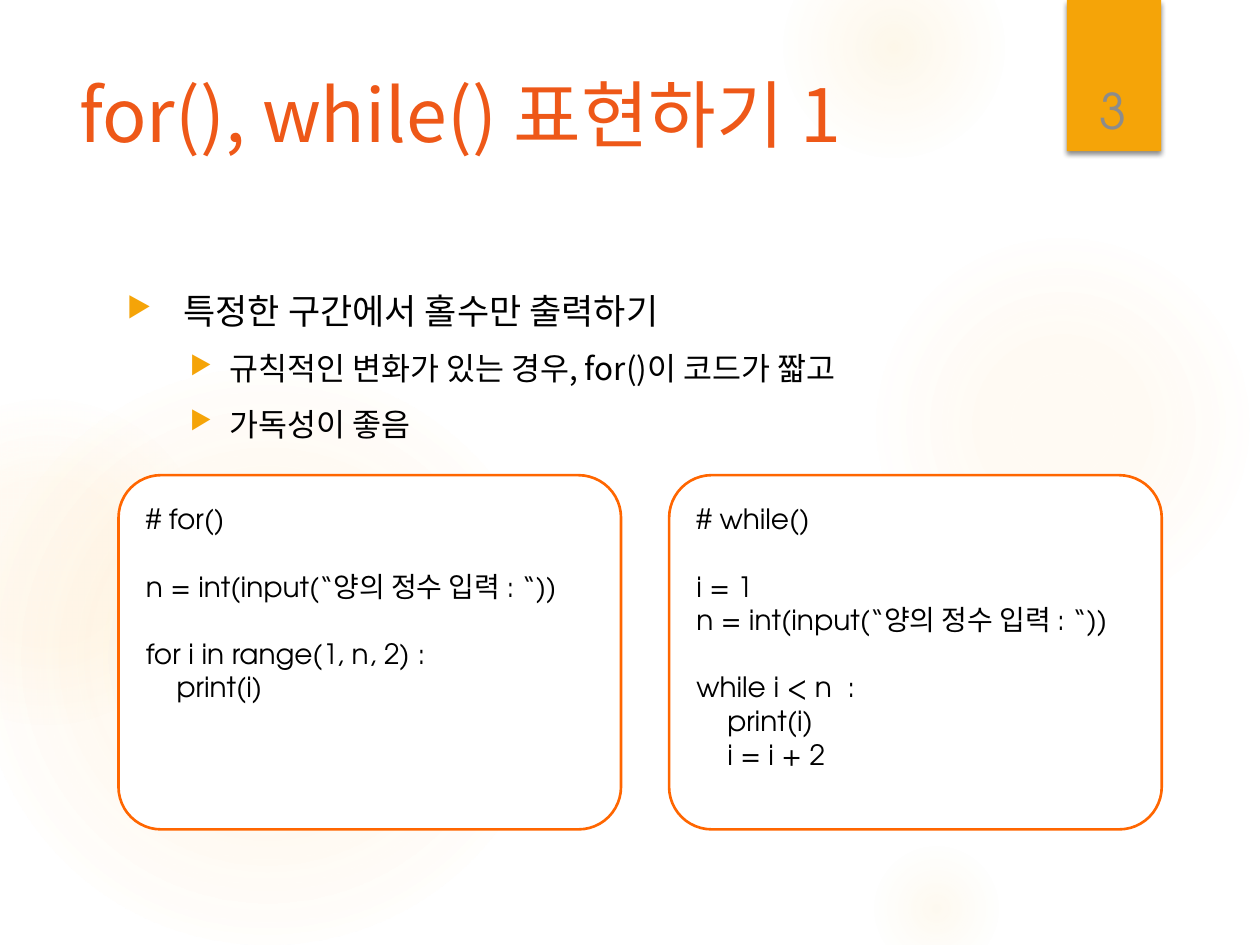
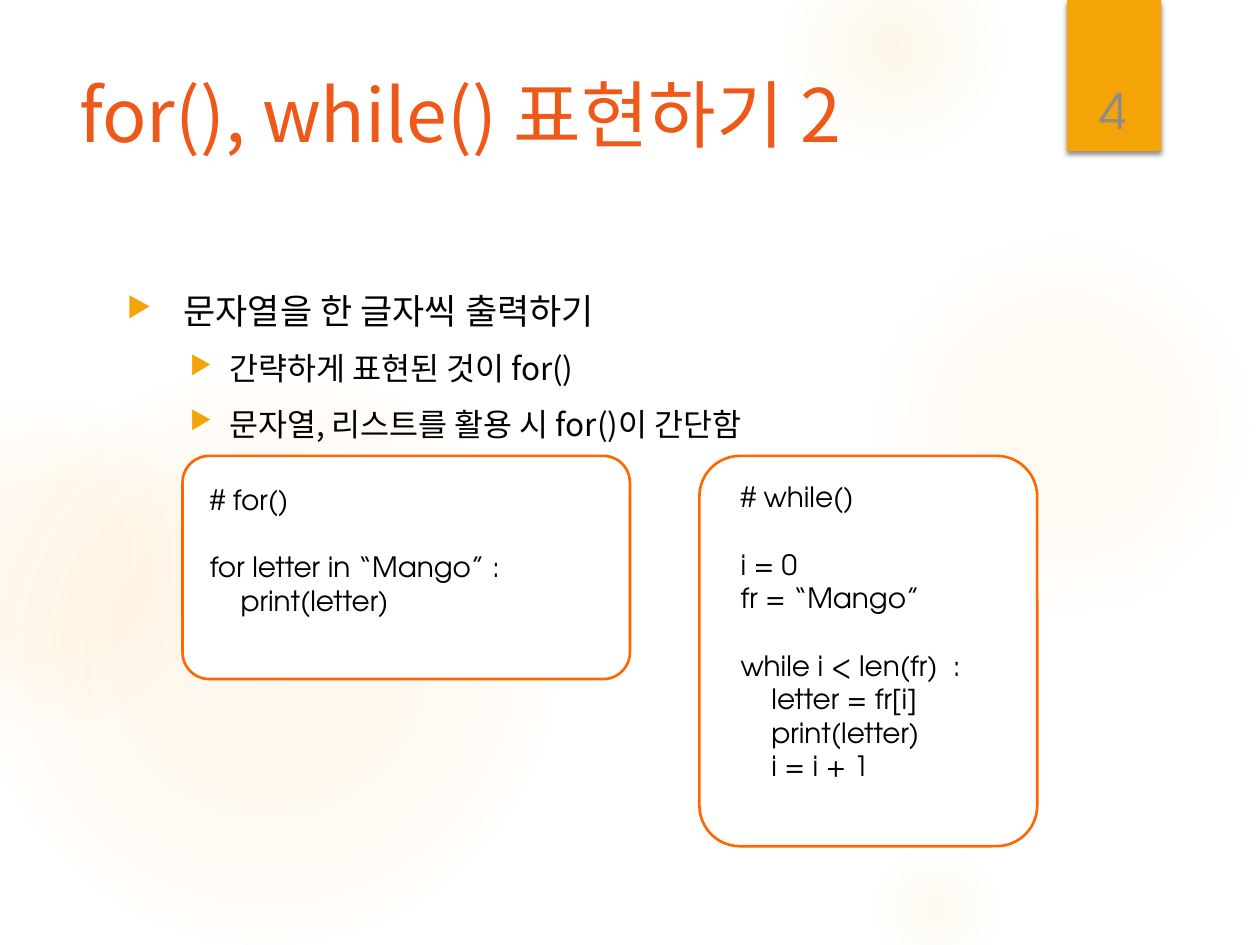
from lxml.etree import SubElement as Sub
from pptx import Presentation
from pptx.dml.color import RGBColor as RGB
from pptx.enum.shapes import MSO_SHAPE as Kind
from pptx.enum.text import MSO_ANCHOR as Anchor, PP_ALIGN as Align
from pptx.oxml.ns import qn
from pptx.util import Cm, Pt

SANS = "Noto Sans CJK KR"
CODE = "TeX Gyre Adventor"
GOLD, GLOW, TITLE, EDGE = "F5A408", "FAC96A", "EE5818", "FF6600"
BLACK, WHITE, GREY = "000000", "FFFFFF", "8C8C8C"

# left, top, diameter in cm, then (stop %, opacity %) pairs
GLOWS = [
    (17.5, 4.65, 7.82, [(0, 7), (36, 6), (69, 0)]),
    (15.8, -1.27, 4.45, [(0, 14), (36, 7), (73, 0)]),
    (17.5, 16.94, 2.74, [(0, 10), (31, 5), (66, 0)]),
    (-0.43, 7.42, 11.63, [(0, 11), (36, 10), (75, 0)]),
    (-2.34, 8.05, 6.55, [(0, 8), (36, 8), (72, 0)]),
]
# left margin in cm, hanging indent in cm, text size
LEVELS = [(1.14, -1.14, 20), (2.06, -0.79, 18)]
LINE = 0.68  # height of a code line in cm


def paint(hue):
    return RGB.from_string(hue)


def tint(node, hue, alpha):
    """Add a colour with an opacity in percent to an XML node."""
    clr = Sub(node, qn("a:srgbClr"), val=hue)
    Sub(clr, qn("a:alpha"), val=str(alpha * 1000))


class Deck:
    def __init__(self):
        self.prs = Presentation()
        self.prs.slide_width, self.prs.slide_height = Cm(25.4), Cm(19.05)
        self.slide = None

    def page(self, num, title):
        """Start a slide with its glows, ribbon, number and title."""
        self.slide = self.prs.slides.add_slide(self.prs.slide_layouts[6])
        for left, top, size, stops in GLOWS:
            self.glow(left, top, size, stops)
        self.ribbon()
        head = self.text(1.35, 1.27, 19.61, 3.89)
        self.label(head.paragraphs[0], title, 42, TITLE)
        frame = self.text(21.56, 0.81, 1.75, 2.13)
        frame.vertical_anchor = Anchor.BOTTOM
        para = frame.paragraphs[0]
        para.alignment = Align.CENTER
        self.label(para, str(num), 28, GREY, CODE)

    def shape(self, kind, left, top, wide, high):
        item = self.slide.shapes.add_shape(
            kind, Cm(left), Cm(top), Cm(wide), Cm(high))
        item.shadow.inherit = False
        item.line.fill.background()
        return item

    def glow(self, left, top, size, stops):
        item = self.shape(Kind.OVAL, left, top, size, size)
        item.fill.gradient()
        grad = item._element.spPr.find(qn("a:gradFill"))
        for node in list(grad):
            grad.remove(node)
        row = Sub(grad, qn("a:gsLst"))
        for pos, alpha in stops:
            tint(Sub(row, qn("a:gs"), pos=str(pos * 1000)), GLOW, alpha)
        ring = Sub(grad, qn("a:path"), {"path": "circle"})
        Sub(ring, qn("a:fillToRect"), dict.fromkeys("ltrb", "50000"))

    def ribbon(self):
        item = self.shape(Kind.RECTANGLE, 21.51, 0, 1.9, 3.05)
        item.fill.solid()
        item.fill.fore_color.rgb = paint(GOLD)
        effect = item._element.spPr.find(qn("a:effectLst"))
        shade = Sub(effect, qn("a:outerShdw"), blurRad=str(Pt(3)),
                    dist=str(Pt(2)), dir="5400000", rotWithShape="0")
        tint(shade, BLACK, 45)

    def text(self, left, top, wide, high):
        box = self.slide.shapes.add_textbox(Cm(left), Cm(top), Cm(wide), Cm(high))
        box.text_frame.word_wrap = True
        return box.text_frame

    def label(self, para, words, size, hue, face=SANS):
        """Set a paragraph's words and its font."""
        para.text = words
        font = para.font
        font.name, font.size = face, Pt(size)
        font.color.rgb = paint(hue)
        Sub(para._p.pPr.find(qn("a:defRPr")), qn("a:ea"), typeface=SANS)

    def points(self, first, *rest):
        """Add one main bullet and the bullets below it."""
        frame = self.text(2.31, 5.72, 18.64, 11.66)
        for i, words in enumerate((first, *rest)):
            para = frame.add_paragraph() if i else frame.paragraphs[0]
            para.level = min(i, 1)
            if i:
                para.space_before = Pt(10)
            left, hang, size = LEVELS[para.level]
            prop = para._p.get_or_add_pPr()
            prop.set("marL", str(Cm(left)))
            prop.set("indent", str(Cm(hang)))
            Sub(Sub(prop, qn("a:buClr")), qn("a:srgbClr"), val=GOLD)
            Sub(prop, qn("a:buSzPct"), val="80000")
            Sub(prop, qn("a:buChar"), char="▶")
            self.label(para, words, size, BLACK)

    def code(self, left, top, wide, high, groups, pad=(0.3, 0.41)):
        """Draw a framed listing; groups of lines are one line apart."""
        card = self.shape(Kind.ROUNDED_RECTANGLE, left, top, wide, high)
        card.adjustments[0] = 0.12
        card.fill.solid()
        card.fill.fore_color.rgb = paint(WHITE)
        card.line.color.rgb = paint(EDGE)
        card.line.width = Pt(1.5)
        count = sum(map(len, groups)) + len(groups) - 1
        dx, dy = pad
        frame = self.text(left + dx, top + dy, wide - dx, count * LINE + 0.25)
        para = frame.paragraphs[0]
        for g, group in enumerate(groups):
            for i, words in enumerate(group):
                if g or i:
                    para = frame.add_paragraph()
                if g and not i:
                    para.space_before = Cm(LINE)
                self.label(para, words, 16, BLACK, CODE)


def main():
    deck = Deck()
    ask = "n = int(input(“양의 정수 입력 : “))"

    deck.page(3, "for(), while() 표현하기 1")
    deck.points("특정한 구간에서 홀수만 출력하기",
                "규칙적인 변화가 있는 경우, for()이 코드가 짧고",
                "가독성이 좋음")
    deck.code(2.39, 9.58, 10.13, 7.14, [
        ["# for()"],
        [ask],
        ["for i in range(1, n, 2) :", "    print(i)"]])
    deck.code(13.49, 9.58, 9.93, 7.14, [
        ["# while()"],
        ["i = 1", ask],
        ["while i < n  :", "    print(i)", "    i = i + 2"]])

    deck.page(4, "for(), while() 표현하기 2")
    deck.points("문자열을 한 글자씩 출력하기",
                "간략하게 표현된 것이 for()",
                "문자열, 리스트를 활용 시 for()이 간단함")
    deck.code(3.68, 9.19, 9.02, 4.5, [
        ["# for()"],
        ["for letter in “Mango” :", "    print(letter)"]])
    deck.code(14.1, 9.19, 6.81, 7.87, [
        ["# while()"],
        ["i = 0", "fr = “Mango”"],
        ["while i < len(fr)  :", "    letter = fr[i]",
         "    print(letter)", "    i = i + 1"]], pad=(0.58, 0.36))

    deck.prs.save("out.pptx")


if __name__ == "__main__":
    main()
